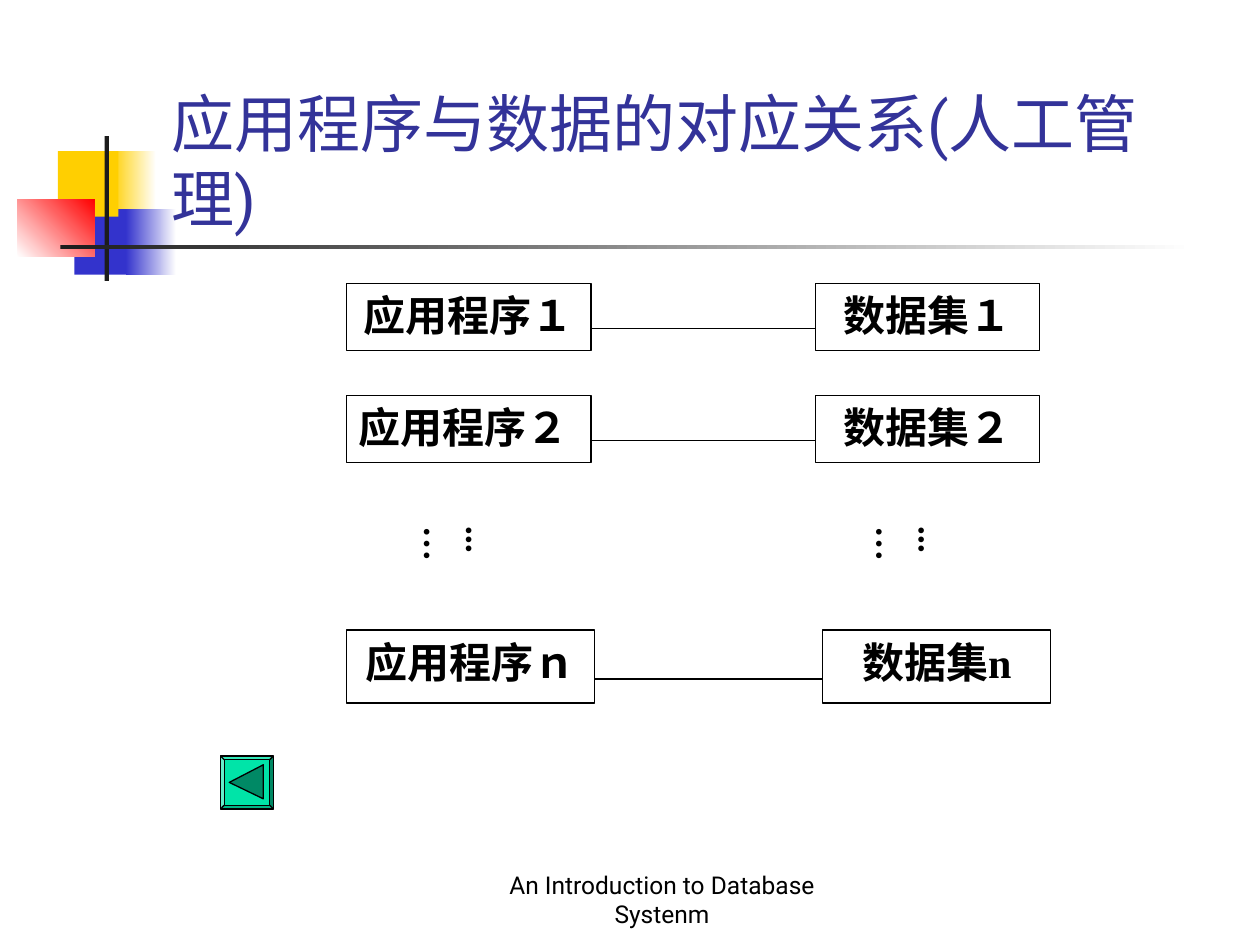
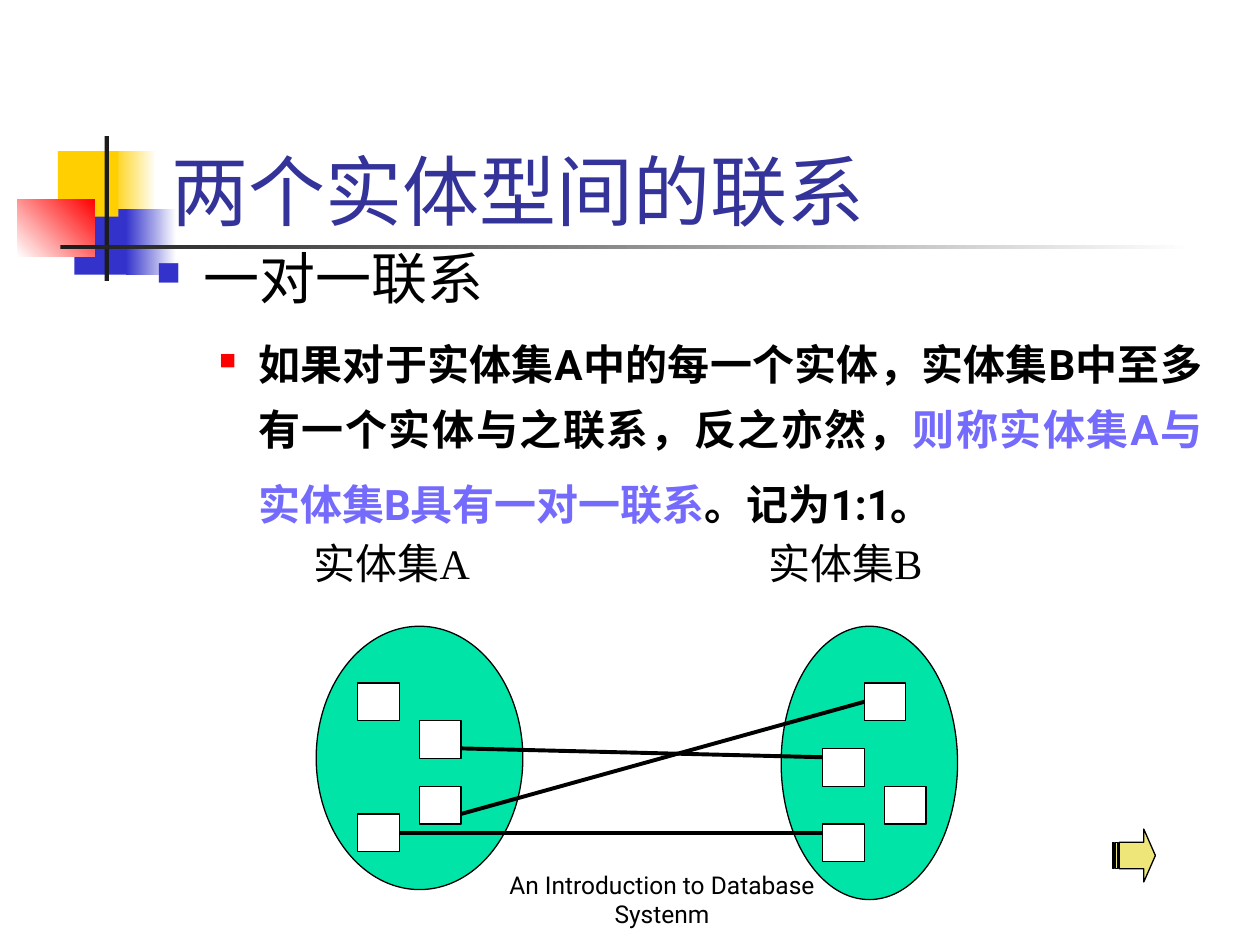
"""Build two database slides: program-to-data mapping and one-to-one relationships."""
from typing import Any, NamedTuple, Optional

import lxml.etree
import pptx
import pptx.dml.color
import pptx.enum.shapes
import pptx.enum.text
import pptx.oxml.ns
import pptx.util

WIDTH = pptx.util.Inches(10)
HEIGHT = pptx.util.Inches(7.5)
COLUMN = WIDTH / 100
ROW = HEIGHT / 75

SANS = "Roboto"
SERIF = "Times New Roman"
BLACK = "000000"
WHITE = "FFFFFF"
INK = "1C1C1C"
GOLD = "FFCF01"
BLUE = "3333CC"
RED = "FF0000"
NAVY = "333399"
VIOLET = "746AFC"
GREEN = "00E4A8"
DARK_GREEN = "008965"
SAND = "EEE678"

SHAPE = pptx.enum.shapes.MSO_SHAPE
ALIGN = pptx.enum.text.PP_ALIGN
ANCHOR = pptx.enum.text.MSO_ANCHOR


class Area(NamedTuple):
    left: float
    top: float
    width: float
    height: float


class Band(NamedTuple):
    area: Area
    start: str
    end: Optional[str] = None
    angle: float = 0


class Span(NamedTuple):
    text: str
    size: float
    font: str = SANS
    colour: str = BLACK
    bold: bool = False


class Bullet(NamedTuple):
    colour: str
    percent: int
    indent: float
    hanging: float


class Pair(NamedTuple):
    program: Area
    dataset: Area
    program_name: str
    dataset_name: str
    align: Any = ALIGN.CENTER


class Entity(NamedTuple):
    oval: Area
    members: list[tuple[float, float]]
    label: str
    label_area: Area


class Link(NamedTuple):
    x1: float
    y1: float
    x2: float
    y2: float


BANDS = [
    Band(Area(8.8, 12, 3.6, 5.2), GOLD, WHITE),
    Band(Area(5.9, 16.6, 4.6, 5.2), BLUE),
    Band(Area(4.6, 12, 4.8, 5.2), GOLD),
    Band(Area(10, 16.6, 4, 5.2), BLUE, WHITE),
    Band(Area(1.4, 15.8, 6.1, 4.6), WHITE, RED, 45),
    Band(Area(8.3, 10.8, 0.35, 11.5), INK),
    Band(Area(4.8, 19.45, 90, 0.35), INK, WHITE),
]
TITLE_AREA = Area(12.6, 6.7, 85.2, 12.5)
FOOTER_AREA = Area(36.7, 69.2, 31.7, 5)
FOOTER = "An Introduction to Database Systenm"

PAIRS = [
    Pair(Area(27.5, 22.5, 19.4, 5.3), Area(64.7, 22.5, 17.8, 5.3), "应用程序１", "数据集１"),
    Pair(Area(27.5, 31.4, 19.4, 5.3), Area(64.7, 31.4, 17.8, 5.3), "应用程序２", "数据集２", ALIGN.JUSTIFY),
    Pair(Area(27.5, 50, 19.7, 5.8), Area(65.3, 50, 18.1, 5.8), "应用程序ｎ", "数据集n"),
]
DOT_COLUMNS = [35, 70.9]

ENTITIES = [
    Entity(Area(25.1, 49.7, 16.4, 20.9),
           [(28.4, 54.2), (33.3, 57.2), (33.3, 62.4), (28.4, 64.6)],
           "实体集A", Area(23.9, 42.2, 15.2, 5)),
    Entity(Area(62, 49.7, 14, 21.7),
           [(65.3, 65.4), (70.2, 62.4), (65.3, 59.4), (68.6, 54.2)],
           "实体集B", Area(60, 42.2, 15, 5)),
]
LINKS = [Link(36.6, 64.6, 68.6, 55.7), Link(31.7, 66.1, 65.3, 66.1), Link(36.6, 59.4, 65.3, 60.1)]


def apply(target: Any, **values: Any) -> None:
    """Set each named attribute on the target."""
    for name, value in values.items():
        setattr(target, name, value)


def paint(colour: Any, value: str) -> None:
    """Give a colour format its hex value."""
    colour.rgb = pptx.dml.color.RGBColor.from_string(value)


def across(columns: float) -> int:
    """Convert grid columns to a length."""
    return round(columns * COLUMN)


def down(rows: float) -> int:
    """Convert grid rows to a length."""
    return round(rows * ROW)


def place(area: Area) -> tuple[int, int, int, int]:
    """Convert a grid area to lengths."""
    return across(area.left), down(area.top), across(area.width), down(area.height)


def finish(shape: Any, fill: str, outlined: bool = True) -> None:
    """Fill a shape flat, without a shadow."""
    shape.shadow.inherit = False
    shape.fill.solid()
    paint(shape.fill.fore_color, fill)
    if outlined:
        shape.line.width = pptx.util.Pt(0.75)
        paint(shape.line.color, BLACK)
    else:
        shape.line.fill.background()


def add_preset(page: Any, kind: Any, area: Area, fill: str, outlined: bool = True) -> Any:
    """Add a filled preset shape."""
    shape = page.shapes.add_shape(kind, *place(area))
    finish(shape, fill, outlined)
    return shape


def add_band(page: Any, band: Band) -> None:
    """Add one solid or fading decoration."""
    shape = add_preset(page, SHAPE.RECTANGLE, band.area, band.start, False)
    if band.end:
        shape.fill.gradient()
        shape.fill.gradient_angle = band.angle
        for stop, colour in zip(shape.fill.gradient_stops, (band.start, band.end)):
            paint(stop.color, colour)


def add_line(page: Any, link: Link, width: float) -> None:
    """Add a straight black line."""
    line = page.shapes.add_connector(
        pptx.enum.shapes.MSO_CONNECTOR.STRAIGHT,
        across(link.x1), down(link.y1), across(link.x2), down(link.y2))
    line.line.width = pptx.util.Pt(width)
    paint(line.line.color, BLACK)
    lxml.etree.SubElement(line.element.spPr, pptx.oxml.ns.qn("a:effectLst"))


def write(paragraph: Any, spans: list[Span], **values: Any) -> None:
    """Write formatted spans into a paragraph."""
    apply(paragraph, **values)
    for span in spans:
        run = paragraph.add_run()
        run.text = span.text
        apply(run.font, size=pptx.util.Pt(span.size), name=span.font, bold=span.bold)
        paint(run.font.color, span.colour)


def add_text(page: Any, area: Area, span: Span, wrap: bool = True,
             anchor: Any = ANCHOR.TOP, align: Any = ALIGN.LEFT) -> Any:
    """Add a text box with one span."""
    box = page.shapes.add_textbox(*place(area))
    apply(box.text_frame, word_wrap=wrap, vertical_anchor=anchor)
    write(box.text_frame.paragraphs[0], [span], alignment=align)
    return box


def add_bullet(paragraph: Any, bullet: Bullet) -> None:
    """Give a paragraph a coloured square bullet."""
    properties = paragraph._p.get_or_add_pPr()
    properties.set("marL", str(across(bullet.indent)))
    properties.set("indent", str(-across(bullet.hanging)))
    qn = pptx.oxml.ns.qn
    colour = lxml.etree.SubElement(properties, qn("a:buClr"))
    lxml.etree.SubElement(colour, qn("a:srgbClr"), val=bullet.colour)
    lxml.etree.SubElement(properties, qn("a:buSzPct"), val=str(bullet.percent * 1000))
    lxml.etree.SubElement(properties, qn("a:buChar"), char="■")


def add_page(deck: Any, title: str, size: float) -> Any:
    """Add a page with bands, footer and title."""
    page = deck.slides.add_slide(deck.slide_layouts[5])
    for band in BANDS:
        add_band(page, band)
    add_text(page, FOOTER_AREA, Span(FOOTER, 14), anchor=ANCHOR.BOTTOM, align=ALIGN.CENTER)
    heading = page.shapes.title
    left, top, width, height = place(TITLE_AREA)
    apply(heading, left=left, top=top, width=width, height=height)
    apply(heading.text_frame, word_wrap=True, vertical_anchor=ANCHOR.BOTTOM,
          auto_size=pptx.enum.text.MSO_AUTO_SIZE.NONE)
    write(heading.text_frame.paragraphs[0], [Span(title, size, colour=NAVY)], alignment=ALIGN.LEFT)
    page.shapes.element.append(heading.element)
    return page


def add_label_box(page: Any, area: Area, text: str, align: Any) -> None:
    """Add an outlined box with a bold name."""
    box = add_preset(page, SHAPE.RECTANGLE, area, WHITE)
    apply(box.text_frame, word_wrap=True, vertical_anchor=ANCHOR.TOP)
    write(box.text_frame.paragraphs[0], [Span(text, 24, SERIF, bold=True)], alignment=align)


def add_dots(page: Any, left: float) -> None:
    """Add vertical continuation dots."""
    box = add_text(page, Area(left, 40.8, 5.3, 6.7), Span("...…", 20, SERIF, bold=True))
    apply(box.text_frame, margin_left=across(0.5), margin_right=across(0.5),
          margin_top=down(1), margin_bottom=down(1),
          auto_size=pptx.enum.text.MSO_AUTO_SIZE.SHAPE_TO_FIT_TEXT)
    box.text_frame._txBody.bodyPr.set("vert", "eaVert")


def add_back_button(page: Any) -> None:
    """Add a bevelled button with a left triangle."""
    button = add_preset(page, SHAPE.BEVEL, Area(17.5, 60, 4.2, 4.2), GREEN)
    button.adjustments[0] = 0.07
    builder = page.shapes.build_freeform(across(18.2), down(62.1))
    builder.add_line_segments([(across(20.9), down(60.7)), (across(20.9), down(63.4))])
    finish(builder.convert_to_shape(), DARK_GREEN)


def build_mapping(deck: Any) -> None:
    """Build the program and data set page."""
    page = add_page(deck, "应用程序与数据的对应关系(人工管理)", 36)
    for pair in PAIRS:
        add_label_box(page, pair.program, pair.program_name, pair.align)
        add_label_box(page, pair.dataset, pair.dataset_name, ALIGN.CENTER)
        level = pair.program.top + pair.program.height * 0.67
        add_line(page, Link(pair.program.left + pair.program.width, level, pair.dataset.left, level), 0.75)
    for left in DOT_COLUMNS:
        add_dots(page, left)
    add_back_button(page)


def build_relationship(deck: Any) -> None:
    """Build the one-to-one relationship page."""
    page = add_page(deck, "两个实体型间的联系", 44)
    body = page.shapes.add_textbox(*place(Area(11.4, 19.4, 85, 45)))
    body.text_frame.word_wrap = True
    topic = body.text_frame.paragraphs[0]
    add_bullet(topic, Bullet(BLUE, 60, 3.8, 3.8))
    write(topic, [Span("一对一联系", 32)], alignment=ALIGN.JUSTIFY, line_spacing=0.9)
    definition = body.text_frame.add_paragraph()
    add_bullet(definition, Bullet(RED, 55, 8.1, 3.1))
    write(definition, [
        Span("如果对于实体集A中的每一个实体，实体集B中至多有一个实体与之联系，反之亦然，", 24, bold=True),
        Span("则称实体集A与实体集B具有一对一联系", 24, colour=VIOLET, bold=True),
        Span("。记为1:1。", 24, bold=True),
        Span(" ", 28),
    ], alignment=ALIGN.JUSTIFY, level=1, line_spacing=1.3, space_before=pptx.util.Pt(7))
    arrow = add_preset(page, SHAPE.STRIPED_RIGHT_ARROW, Area(88.3, 65.8, 3.4, 4.2), SAND)
    arrow.adjustments[1] = 0.27
    for entity in ENTITIES:
        add_text(page, entity.label_area, Span(entity.label, 24, SERIF), wrap=False)
        add_preset(page, SHAPE.OVAL, entity.oval, GREEN)
        for left, top in entity.members:
            add_preset(page, SHAPE.RECTANGLE, Area(left, top, 3.3, 3), WHITE)
    for link in LINKS:
        add_line(page, link, 2.25)


def main() -> None:
    """Build and save the deck."""
    deck = pptx.Presentation()
    apply(deck, slide_width=WIDTH, slide_height=HEIGHT)
    build_mapping(deck)
    build_relationship(deck)
    deck.save("out.pptx")


if __name__ == "__main__":
    main()
